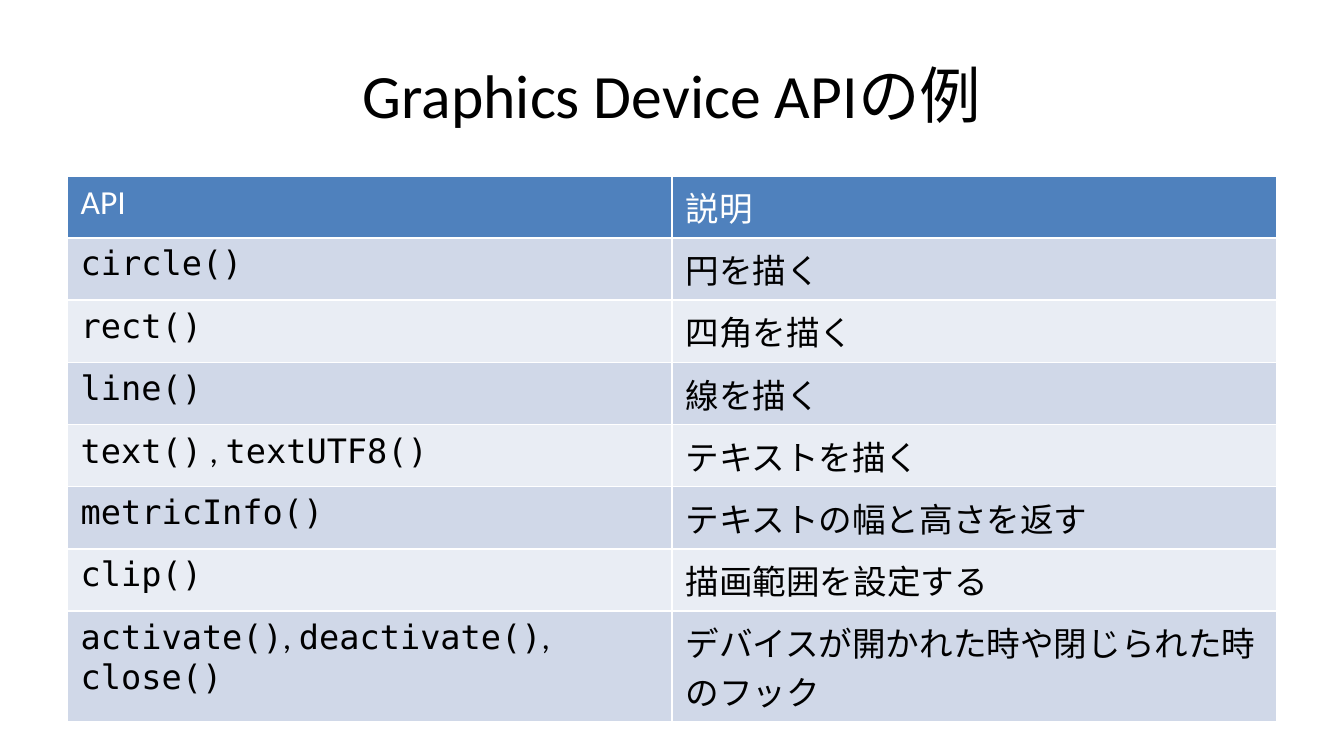
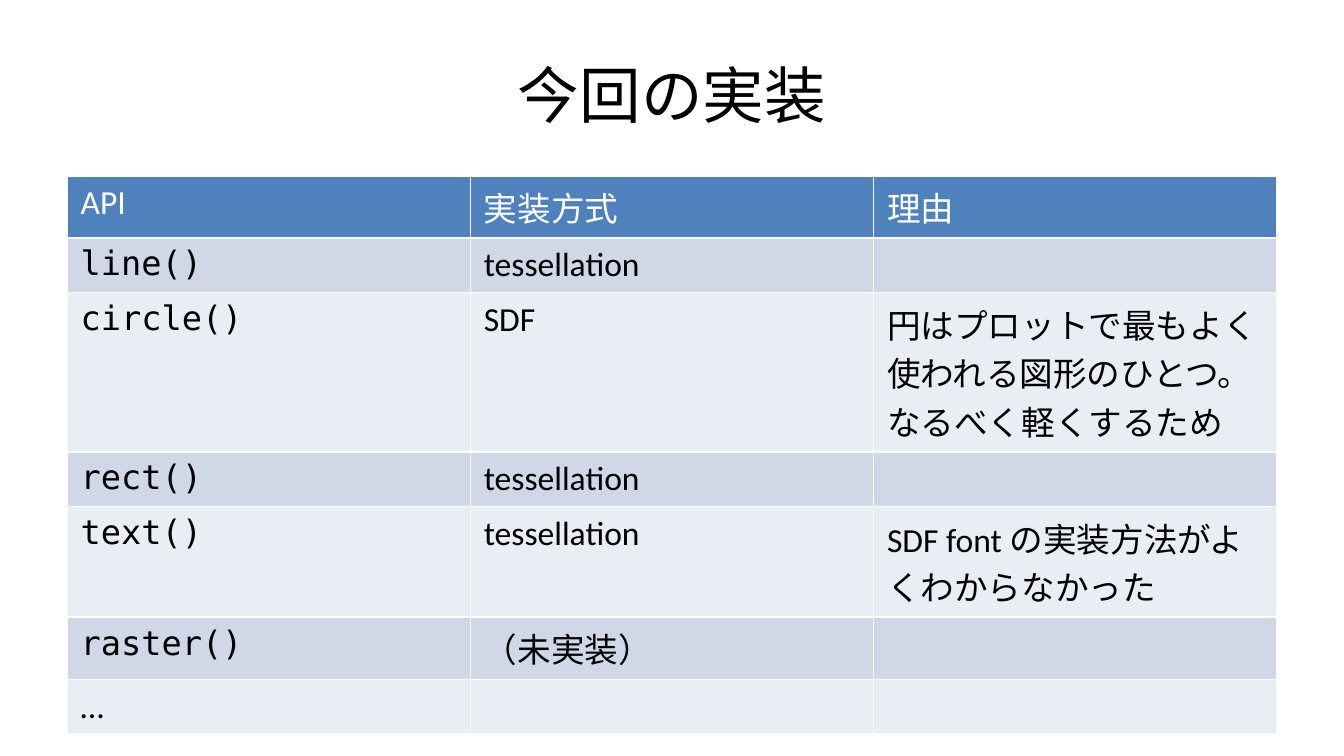
from pptx import Presentation
from pptx.dml.color import RGBColor
from pptx.enum import text
from pptx.util import Inches, Pt

COLORS = {
    "ink": "000000",
    "paper": "FFFFFF",
    "header": "4F81BD",
    "odd": "D0D8E8",
    "even": "E9EDF4",
}
BODY_FONT, CODE_FONT = "Calibri", "DejaVu Sans Mono"
TITLE_ONLY = 5

# A cell is a string or a tuple of parts; parts ending in "()" are set as code.
DEVICE_API = [
    ("API", "説明"),
    ("circle()", "円を描く"),
    ("rect()", "四角を描く"),
    ("line()", "線を描く"),
    (("text()", " , ", "textUTF8()"), "テキストを描く"),
    ("metricInfo()", "テキストの幅と高さを返す"),
    ("clip()", "描画範囲を設定する"),
    (("activate()", ", ", "deactivate()", ", ", "close()"),
     "デバイスが開かれた時や閉じられた時のフック"),
]
IMPLEMENTATION = [
    ("API", "実装方式", "理由"),
    ("line()", "tessellation", ""),
    ("circle()", "SDF", "円はプロットで最もよく使われる図形のひとつ。なるべく軽くするため"),
    ("rect()", "tessellation", ""),
    ("text()", "tessellation", "SDF font の実装方法がよくわからなかった"),
    ("raster()", "（未実装）", ""),
    ("…", "", ""),
]


class Deck:
    def __init__(self):
        self.prs = Presentation()
        self.prs.slide_width = Inches(10)
        self.prs.slide_height = Inches(10) * 9 // 16
        self.slide = None

    def style(self, run, size, color, font=BODY_FONT):
        run.font.name = font
        run.font.size = Pt(size)
        run.font.bold = False
        run.font.color.rgb = RGBColor.from_string(COLORS[color])

    def add_slide(self, heading):
        self.slide = self.prs.slides.add_slide(self.prs.slide_layouts[TITLE_ONLY])
        title = self.slide.shapes.title
        title.left, title.top = Inches(0.5), Inches(0.23)
        title.width, title.height = Inches(9), Inches(0.94)
        frame = title.text_frame
        frame.text = heading
        frame.vertical_anchor = text.MSO_ANCHOR.MIDDLE
        frame.paragraphs[0].alignment = text.PP_ALIGN.CENTER
        self.style(frame.paragraphs[0].runs[0], 33, "ink")

    def add_table(self, rows):
        """Add a table whose white rules come from the default table style."""
        frame = self.slide.shapes.add_table(
            len(rows), len(rows[0]), Inches(0.5), Inches(1.31), Inches(9), Inches(3.71))
        table = frame.table
        for r, row in enumerate(rows):
            table.rows[r].height = Inches(0.4)  # rows grow to fit their text
            for c, content in enumerate(row):
                self.fill_cell(table.cell(r, c), content, r)
        frame.height = Inches(3.71)

    def fill_cell(self, cell, content, row):
        is_header = row == 0
        cell.fill.solid()
        band = "header" if is_header else "odd" if row % 2 else "even"
        cell.fill.fore_color.rgb = RGBColor.from_string(COLORS[band])
        parts = content if isinstance(content, tuple) else (content,)
        for part in filter(None, parts):
            run = cell.text_frame.paragraphs[0].add_run()
            run.text = part
            font = CODE_FONT if part.endswith("()") else BODY_FONT
            self.style(run, 18, "paper" if is_header else "ink", font)


def main():
    deck = Deck()
    for heading, rows in (("Graphics Device APIの例", DEVICE_API),
                          ("今回の実装", IMPLEMENTATION)):
        deck.add_slide(heading)
        deck.add_table(rows)
    deck.prs.save("out.pptx")


if __name__ == "__main__":
    main()
